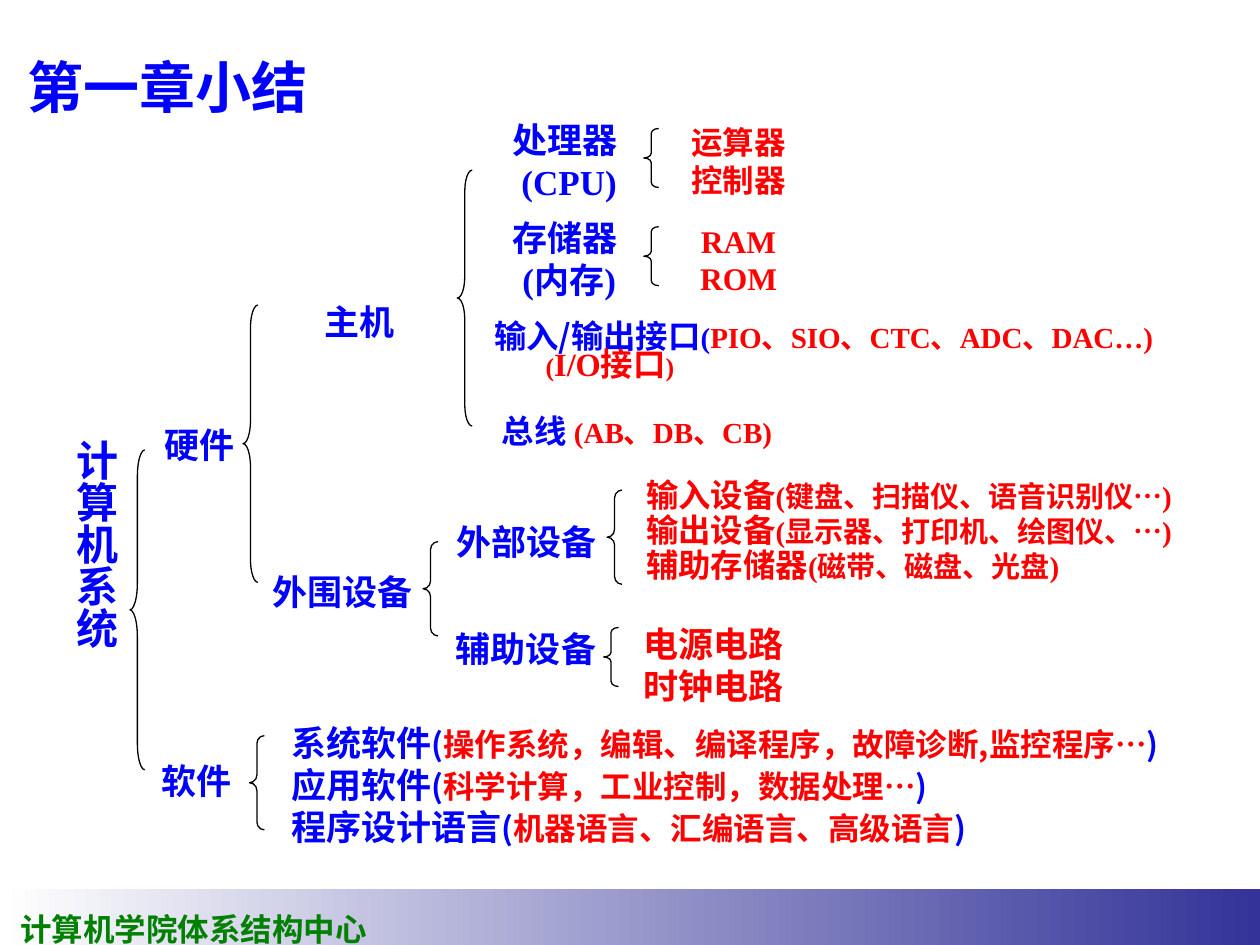
from dataclasses import dataclass

from lxml import etree
from pptx import Presentation, util as u
from pptx.dml import color
from pptx.enum import shapes, text
from pptx.oxml import ns


@dataclass(frozen=True)
class Theme:
    blue: str = "0000FF"
    red: str = "FF0000"
    green: str = "008000"
    black: str = "000000"
    white: str = "FFFFFF"
    navy: str = "333399"
    serif: str = "Times New Roman"
    sans: str = "Noto Sans CJK SC"
    mono: str = "Courier New"
    display: str = "Karla"
    title: float = 32
    root: float = 24
    label: float = 20
    detail: float = 18
    item: float = 18.5
    note: float = 16.6
    small: float = 14.8
    leading: float = 1.2
    tight: float = 1.08


THEME = Theme()
CENTER, LEFT = text.PP_ALIGN.CENTER, text.PP_ALIGN.LEFT


def rgb(value):
    return color.RGBColor.from_string(value)


def run(words, size=THEME.label, ink=THEME.blue, font=THEME.serif):
    return words, size, ink, font


def add_text(slide, box, lines, align=CENTER, leading=THEME.leading, indents=None):
    """Place lines (lists of runs) in a box; indents maps line number to cm."""
    shape = slide.shapes.add_textbox(*(u.Cm(length) for length in box))
    frame = shape.text_frame
    frame.word_wrap = True
    frame.margin_left = frame.margin_right = frame.margin_top = frame.margin_bottom = 0
    for number, line in enumerate(lines):
        paragraph = frame.paragraphs[0] if number == 0 else frame.add_paragraph()
        paragraph.alignment = align
        paragraph.line_spacing = u.Pt(round(line[0][1] * leading, 1))
        if indents and number in indents:
            paragraph._p.get_or_add_pPr().set("marL", str(u.Cm(indents[number])))
        for words, size, ink, font in line:
            piece = paragraph.add_run()
            piece.text = words
            piece.font.size = u.Pt(size)
            piece.font.bold = True
            piece.font.name = font
            piece.font.color.rgb = rgb(ink)
            east_asian = etree.SubElement(piece._r.get_or_add_rPr(), ns.qn("a:ea"))
            east_asian.set("typeface", THEME.sans)
    return shape


def add_brace(slide, left, top, height, width=0.3):
    shape = slide.shapes.add_shape(
        shapes.MSO_SHAPE.LEFT_BRACE, u.Cm(left), u.Cm(top), u.Cm(width), u.Cm(height))
    shape.adjustments[0] = height / 12 / width
    shape.shadow.inherit = False
    shape.fill.background()
    shape.line.color.rgb = rgb(THEME.black)
    shape.line.width = u.Pt(0.75)


def add_footer(slide, left, top, width, height):
    band = slide.shapes.add_shape(
        shapes.MSO_SHAPE.RECTANGLE, u.Cm(left), u.Cm(top), u.Cm(width), u.Cm(height))
    band.shadow.inherit = False
    band.line.fill.background()
    band.fill.gradient()
    band.fill.gradient_angle = 0
    for stop, ink in zip(band.fill.gradient_stops, (THEME.white, THEME.navy)):
        stop.color.rgb = rgb(ink)
    add_text(slide, (left + 0.41, top + 0.41, 8, 0.76),
             [[run("计算机学院体系结构中心", THEME.detail, THEME.green)]], LEFT)


def add_title(slide, left, top, width, height):
    add_text(slide, (left, top, width, height),
             [[run("第一章小结", THEME.title, font=THEME.display)]], LEFT)


def add_root(slide, left, top):
    """Whole system, split into hardware and software."""
    system = add_text(slide, (left, top + 0.33, 1.14, 7.06),
                      [[run("计算机系统", THEME.root)]])
    system.text_frame._txBody.bodyPr.set("vert", "eaVert")
    add_brace(slide, left + 1.32, top + 0.54, 6.45)
    add_text(slide, (left + 1.88, top, 1.68, 1), [[run("硬件")]])
    add_brace(slide, left + 3.6, top - 2.38, 5.59)


def add_host(slide, left, top):
    """Processor, memory, interfaces and buses."""
    add_text(slide, (left, top + 3.67, 3.78, 1), [[run("主机")]])
    add_brace(slide, left + 3.86, top + 1.04, 5.16)

    def red(words):
        return [run(words, THEME.detail, THEME.red)]

    for offset, lines, parts, drop in (
            (0, ("处理器", "(CPU)"), ("运算器", "控制器"), 0.1),
            (1.98, ("存储器", "(内存)"), ("RAM", "ROM"), 0.1)):
        row = top + offset
        add_text(slide, (left + 4.55, row, 2.95, 1.8),
                 [[run(words)] for words in lines], indents={1: 0.18})
        add_brace(slide, left + 7.62, row + 0.2, 1.19)
        add_text(slide, (left + 8.3, row + drop, 2.46, 1.6), [red(words) for words in parts])

    add_text(slide, (left + 4.6, top + 4.06, 15.44, 1.68), [
        [run("输入/输出接口", THEME.item, font=THEME.sans),
         run("(", THEME.note),
         run("PIO、SIO、CTC、ADC、DAC…)", THEME.note, THEME.red)],
        [run("(", THEME.small, THEME.red),
         run("I/O接口", THEME.item, THEME.red),
         run(")", THEME.small, THEME.red)],
    ], LEFT, THEME.tight, {1: 1.04})
    add_text(slide, (left + 4.76, top + 5.97, 6.7, 0.97), [
        [run("总线 ", THEME.item), run("(AB、DB、CB)", THEME.note, THEME.red)],
    ], LEFT, THEME.tight)


def add_peripherals(slide, left, top):
    """External devices and auxiliary equipment."""
    add_text(slide, (left, top + 1.86, 3, 1), [[run("外围设备")]])
    add_brace(slide, left + 3.12, top + 1.27, 1.9)
    add_text(slide, (left + 3.61, top + 0.84, 3.18, 1), [[run("外部设备")]])
    add_brace(slide, left + 6.83, top + 0.23, 1.9)
    devices = (("输入设备", "(键盘、扫描仪、语音识别仪…)"),
               ("输出设备", "(显示器、打印机、绘图仪、…)"),
               ("辅助存储器", "(磁带、磁盘、光盘)"))
    add_text(slide, (left + 7.62, top, 11.9, 2.62), [
        [run(name, THEME.item, THEME.red), run(examples, THEME.note, THEME.red)]
        for name, examples in devices], LEFT, THEME.tight)

    add_text(slide, (left + 3.66, top + 3, 3.07, 1), [[run("辅助设备")]])
    add_brace(slide, left + 6.76, top + 3, 1.19)
    add_text(slide, (left + 7.47, top + 2.9, 3, 1.7),
             [[run(words, ink=THEME.red)] for words in ("电源电路", "时钟电路")])


def add_software(slide, left, top):
    """System, application and language software."""
    add_text(slide, (left, top + 0.77, 1.68, 1), [[run("软件")]])
    add_brace(slide, left + 1.91, top + 0.28, 1.9)
    kinds = (("系统软件", "操作系统，编辑、编译程序，故障诊断,监控程序", "…"),
             ("应用软件", "科学计算，工业控制，数据处理", "…"),
             ("程序设计语言", "机器语言、汇编语言、高级语言", ""))
    lines = []
    for name, examples, ellipsis in kinds:
        line = [run(name, font=THEME.sans),
                run("(", THEME.detail, font=THEME.sans),
                run(examples, THEME.detail, THEME.red, THEME.sans)]
        if ellipsis:
            line.append(run(ellipsis, THEME.detail, THEME.red, THEME.mono))
        lines.append(line + [run(")", THEME.detail, font=THEME.sans)])
    add_text(slide, (left + 2.75, top, 18.8, 2.92), lines, LEFT)


def main():
    presentation = Presentation()
    presentation.slide_width, presentation.slide_height = u.Cm(25.4), u.Cm(19.05)
    slide = presentation.slides.add_slide(presentation.slide_layouts[6])
    add_footer(slide, 0, 17.93, 25.4, 1.12)
    add_title(slide, 0.56, 1.05, 15, 1.4)
    add_root(slide, 1.3, 8.53)
    add_host(slide, 5.36, 2.39)
    add_peripherals(slide, 5.41, 9.65)
    add_software(slide, 3.12, 14.55)
    presentation.save("out.pptx")


if __name__ == "__main__":
    main()
